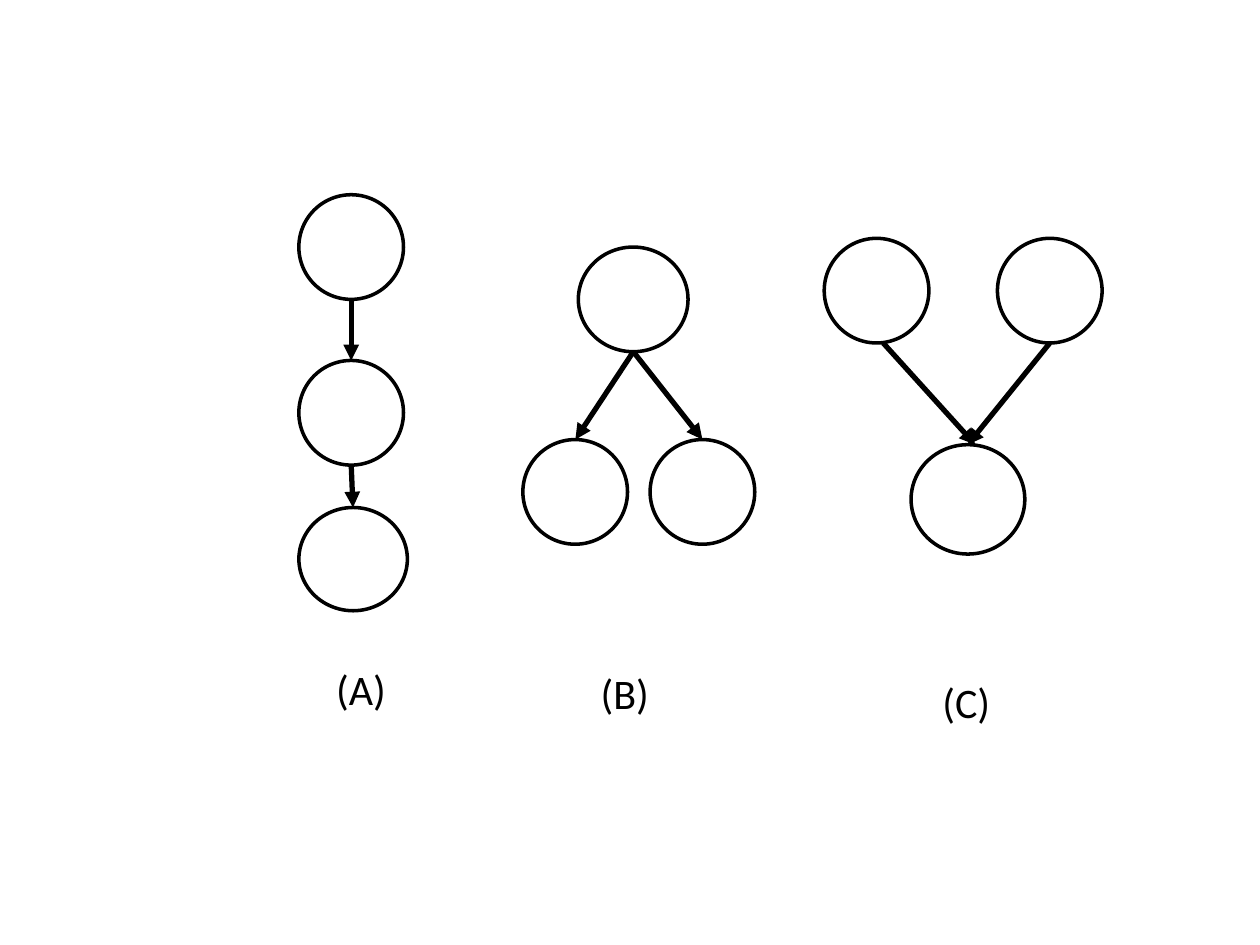
from dataclasses import dataclass

from lxml.etree import SubElement
from pptx import Presentation
from pptx.dml.color import RGBColor
from pptx.enum.shapes import MSO_CONNECTOR, MSO_SHAPE
from pptx.enum.text import MSO_AUTO_SIZE
from pptx.oxml.ns import qn
from pptx.util import Pt


@dataclass(frozen=True)
class Theme:
    ink: RGBColor = RGBColor(0, 0, 0)
    paper: RGBColor = RGBColor(255, 255, 255)
    font: str = "Calibri"
    label_size: int = 24
    outline: int = 2
    arrow: int = 3


theme = Theme()
D = 59.8  # usual node diameter

# Nodes are (left, top, width, height); arrows are (x1, y1, x2, y2).
graphs = [
    {
        "label": ("(A)", 185, 375.8),
        "nodes": [(170.8, 206, D, D), (170.8, 111.3, D, D), (170.8, 290, 62, 59)],
        "arrows": [(200.7, 171, 200.7, 206), (200.7, 265.8, 201.7, 290)],
    },
    {
        "label": ("(B)", 336.2, 378),
        "nodes": [(298.8, 251.2, D, D), (371.5, 251.2, D, D), (330.5, 141.2, 62.7, D)],
        "arrows": [(361.9, 201, 328.8, 251.2), (361.9, 201, 401.4, 251.2)],
    },
    {
        "label": ("(C)", 531.4, 383),
        "nodes": [(471, 136.2, D, D), (570, 136.2, D, D), (520.6, 254.1, 65, 62.5)],
        "arrows": [(504.7, 196, 557.3, 254.1), (599.9, 196, 553, 254.1)],
    },
]

prs = Presentation()
prs.slide_width, prs.slide_height = Pt(720), Pt(540)
s = prs.slides.add_slide(prs.slide_layouts[6])

for graph in graphs:
    shapes = s.shapes.add_group_shape().shapes

    for box in graph["nodes"]:
        sp = shapes.add_shape(MSO_SHAPE.OVAL, *map(Pt, box))
        sp.shadow.inherit = False
        sp.fill.solid()
        sp.fill.fore_color.rgb = theme.paper
        sp.line.color.rgb = theme.ink
        sp.line.width = Pt(theme.outline)

    for ends in graph["arrows"]:
        arrow = shapes.add_connector(MSO_CONNECTOR.STRAIGHT, *map(Pt, ends))
        arrow.line.color.rgb = theme.ink
        arrow.line.width = Pt(theme.arrow)
        SubElement(arrow.line._get_or_add_ln(), qn("a:tailEnd"), type="triangle")
        SubElement(arrow._element.spPr, qn("a:effectLst"))

    text, left, top = graph["label"]
    label = shapes.add_textbox(Pt(left), Pt(top), Pt(90.7), Pt(36))
    label.fill.solid()
    label.fill.fore_color.rgb = theme.paper
    tf = label.text_frame
    tf.word_wrap = True
    tf.auto_size = MSO_AUTO_SIZE.SHAPE_TO_FIT_TEXT
    p = tf.paragraphs[0]
    p.text = text
    p.font.name = theme.font
    p.font.size = Pt(theme.label_size)
    p.font.color.rgb = theme.ink

prs.save("out.pptx")
